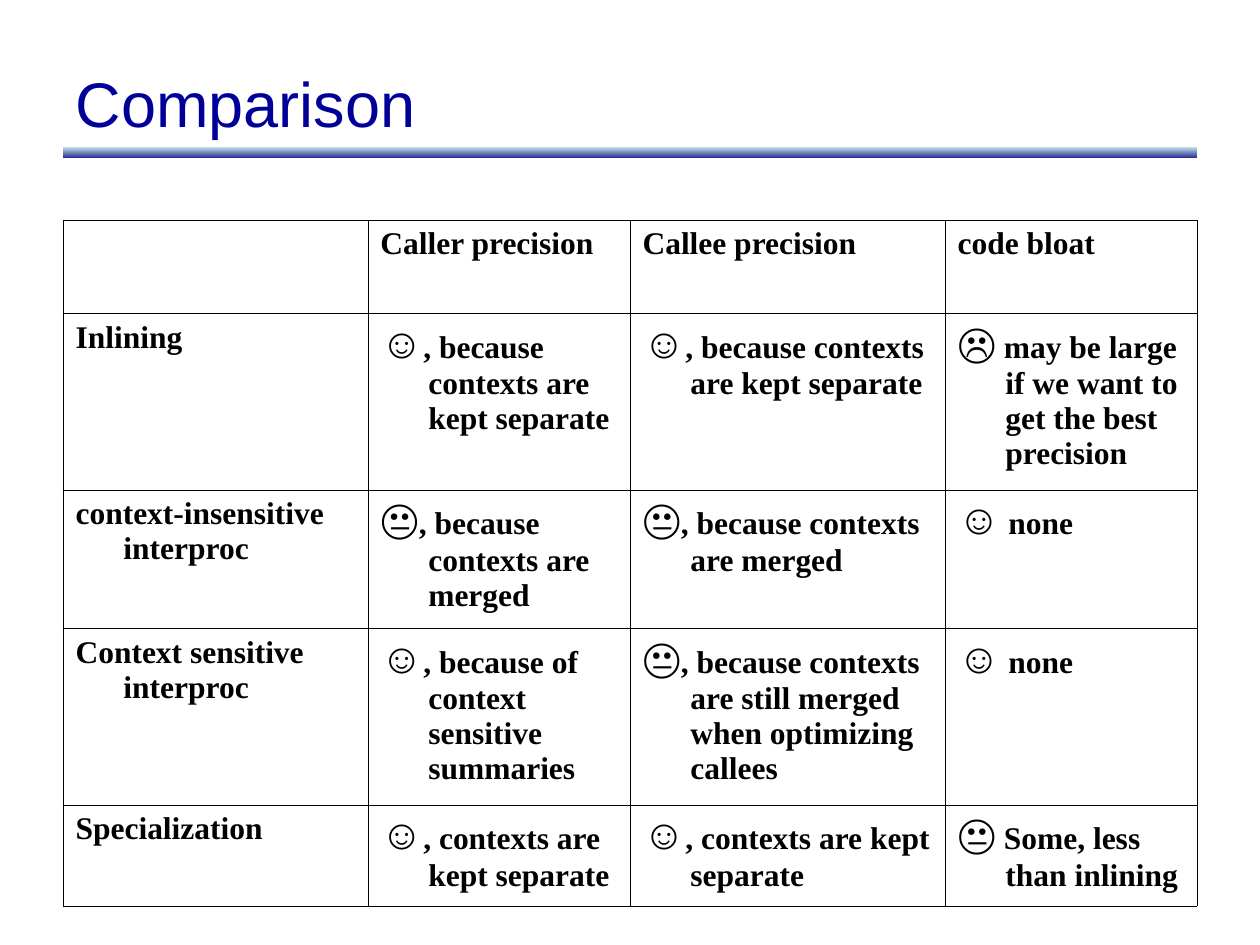
from typing import NamedTuple

from lxml import etree
from pptx import Presentation
from pptx import util as u
from pptx.dml.color import RGBColor
from pptx.enum import shapes, text
from pptx.oxml import ns

COLORS = {
    "title": "000099",
    "text": "000000",
    "border": "000000",
    "bar_top": "BBE0E3",
    "bar_bottom": "333399",
}
HAPPY, NEUTRAL, SAD = "☺", "😐", "☹"
COLUMN_WIDTHS = [2.42, 2.08, 2.5, 2]
ROW_HEIGHTS = [0.74, 1.4, 1.1, 1.4, 0.8]
BORDER_WIDTH = 0.45
HANGING_INDENT = 0.38


class Entry(NamedTuple):
    text: str
    face: str = ""


KEPT_SEPARATE = ", because contexts are kept separate"
MERGED = ", because contexts are merged"
SPECIALIZED = ", contexts are kept separate"

ROWS = [
    [Entry(""), Entry("Caller precision"), Entry("Callee precision"), Entry("code bloat")],
    [
        Entry("Inlining"),
        Entry(KEPT_SEPARATE, HAPPY),
        Entry(KEPT_SEPARATE, HAPPY),
        Entry(" may be large if we want to get the best precision", SAD),
    ],
    [
        Entry("context-insensitive interproc"),
        Entry(MERGED, NEUTRAL),
        Entry(MERGED, NEUTRAL),
        Entry(" none", HAPPY),
    ],
    [
        Entry("Context sensitive interproc"),
        Entry(", because of context sensitive summaries", HAPPY),
        Entry(", because contexts are still merged when optimizing callees", NEUTRAL),
        Entry(" none", HAPPY),
    ],
    [
        Entry("Specialization"),
        Entry(SPECIALIZED, HAPPY),
        Entry(SPECIALIZED, HAPPY),
        Entry(" Some, less than inlining", NEUTRAL),
    ],
]


def add_text(paragraph, content: str, *, size: float = 18, font: str = "Times New Roman",
             color: str = "text", bold: bool = True) -> None:
    run = paragraph.add_run()
    run.text = content
    run.font.size = u.Pt(size)
    run.font.name = font
    run.font.bold = bold
    run.font.color.rgb = RGBColor.from_string(COLORS[color])


def add_bar(slide) -> None:
    bar = slide.shapes.add_shape(shapes.MSO_SHAPE.RECTANGLE, u.Inches(0.5), u.Inches(1.17),
                                 u.Inches(9), u.Inches(0.08))
    bar.shadow.inherit = False
    bar.line.fill.background()
    bar.fill.gradient()
    bar.fill.gradient_angle = 270
    for stop, name in zip(bar.fill.gradient_stops, ("bar_top", "bar_bottom")):
        stop.color.rgb = RGBColor.from_string(COLORS[name])


def set_title(slide, content: str) -> None:
    title = slide.shapes.title
    title.left, title.top = u.Inches(0.5), u.Inches(0.3)
    title.width, title.height = u.Inches(9), u.Inches(1.03)
    title.text_frame.vertical_anchor = text.MSO_ANCHOR.MIDDLE
    paragraph = title.text_frame.paragraphs[0]
    paragraph.alignment = text.PP_ALIGN.LEFT
    add_text(paragraph, content, size=36, font="Arial", color="title", bold=False)


def add_borders(cell) -> None:
    properties = cell._tc.get_or_add_tcPr()
    for side in ("a:lnL", "a:lnR", "a:lnT", "a:lnB"):
        line = etree.SubElement(properties, ns.qn(side), w=str(int(u.Pt(BORDER_WIDTH))))
        fill = etree.SubElement(line, ns.qn("a:solidFill"))
        etree.SubElement(fill, ns.qn("a:srgbClr"), val=COLORS["border"])


def fill_cell(cell, entry: Entry) -> None:
    add_borders(cell)
    cell.fill.background()
    paragraph = cell.text_frame.paragraphs[0]
    properties = paragraph._p.get_or_add_pPr()
    properties.set("marL", str(u.Inches(HANGING_INDENT)))
    properties.set("indent", str(-u.Inches(HANGING_INDENT)))
    if entry.face:
        add_text(paragraph, entry.face, size=24, font="Arial")
    if entry.text:
        add_text(paragraph, entry.text)


def add_comparison_table(slide) -> None:
    frame = slide.shapes.add_table(len(ROWS), len(COLUMN_WIDTHS), u.Inches(0.5), u.Inches(1.75),
                                   u.Inches(sum(COLUMN_WIDTHS)), u.Inches(sum(ROW_HEIGHTS)))
    table = frame.table
    table.first_row = table.horz_banding = False
    for column, width in zip(table.columns, COLUMN_WIDTHS):
        column.width = u.Inches(width)
    for row, height, entries in zip(table.rows, ROW_HEIGHTS, ROWS):
        row.height = u.Inches(height)
        for cell, entry in zip(row.cells, entries):
            fill_cell(cell, entry)


def main() -> None:
    presentation = Presentation()
    presentation.slide_width, presentation.slide_height = u.Inches(10), u.Inches(7.5)
    slide = presentation.slides.add_slide(presentation.slide_layouts.get_by_name("Title Only"))

    # Heading with its gradient rule
    add_bar(slide)
    set_title(slide, "Comparison")

    # Comparison of the approaches
    add_comparison_table(slide)

    presentation.save("out.pptx")


if __name__ == "__main__":
    main()
